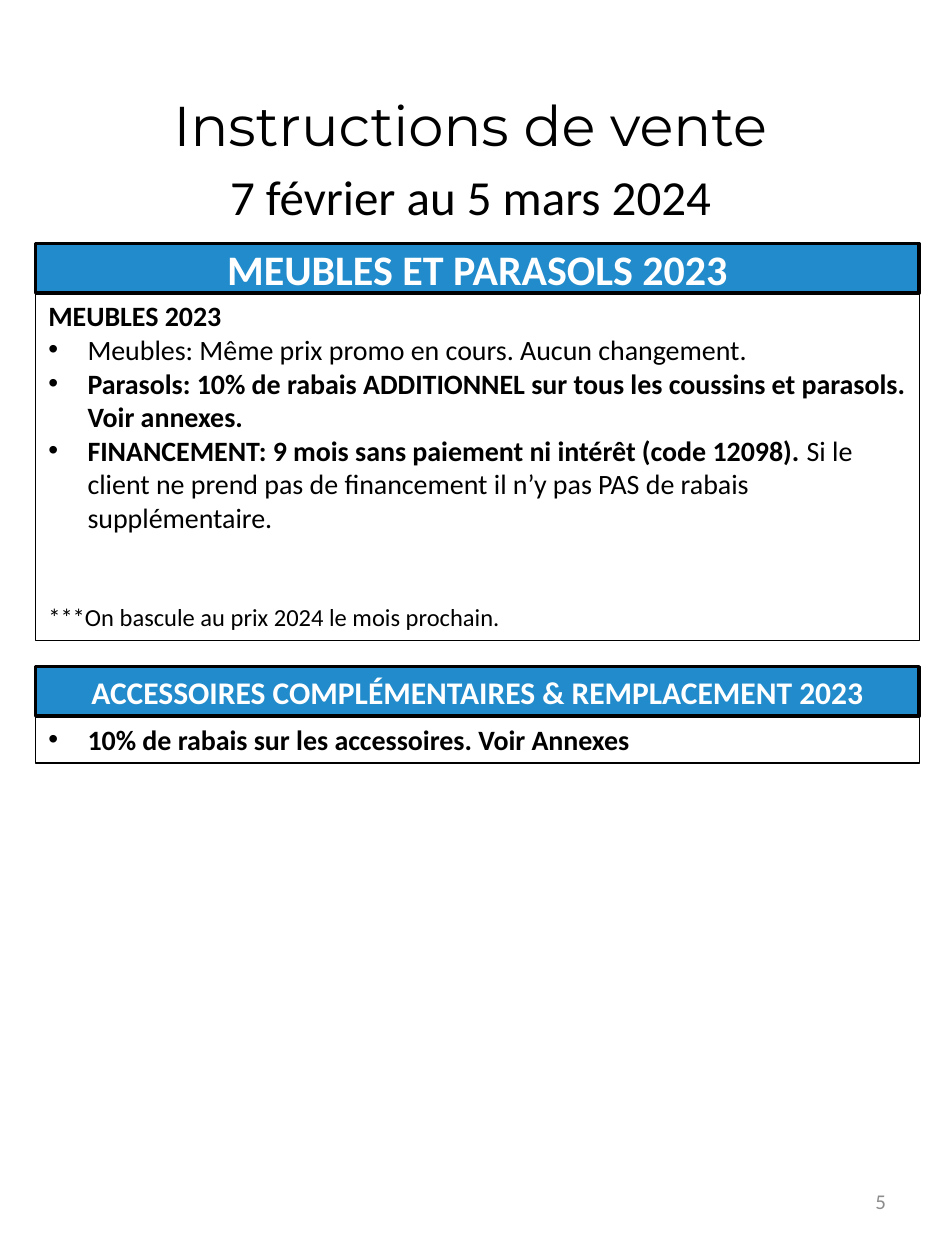
from pptx import Presentation
from pptx.dml.color import RGBColor
from pptx.enum.shapes import MSO_SHAPE
from pptx.enum.text import MSO_ANCHOR as Anchor, MSO_AUTO_SIZE as AutoSize, PP_ALIGN as Align
from pptx.oxml.ns import qn
from pptx.util import Cm, Pt
from lxml import etree


def rgb(value):
    return RGBColor.from_string(value)


def assign(target, values):
    for name, value in values.items():
        setattr(target, name, value)


class Sheet:
    """Hold the style and the current slide, and draw its elements."""

    blue, black, white, grey = "218BCB", "000000", "FFFFFF", "8C8C8C"
    font = "Calibri"
    left, width = 0.72, 17.81
    indent = Cm(0.79)

    def __init__(self, prs):
        self.s = prs.slides.add_slide(prs.slide_layouts[3])

    def place(self, sp, *box):
        assign(sp, dict(zip(("left", "top", "width", "height"), map(Cm, box))))

    def border(self, sp, points):
        sp.line.color.rgb = rgb(self.black)
        sp.line.width = Pt(points)

    def run(self, p, text, size, color=black, bold=False, font=font):
        r = p.add_run()
        r.text = text
        assign(r.font, {"name": font, "size": Pt(size), "bold": bold})
        r.font.color.rgb = rgb(color)

    def title(self, heading, dates):
        sp = self.s.shapes.title
        self.place(sp, 0.91, 1.5, 17.15, 3)
        tf = sp.text_frame
        assign(tf, {"vertical_anchor": Anchor.TOP, "auto_size": AutoSize.NONE})
        p = tf.paragraphs[0]
        assign(p, {"alignment": Align.CENTER, "line_spacing": 1.15, "space_after": Pt(10)})
        self.run(p, heading, 32, font="Montserrat")
        p.add_line_break()
        self.run(p, dates, 28)

    def banner(self, top, text, size):
        sp = self.s.shapes.add_shape(
            MSO_SHAPE.RECTANGLE, Cm(self.left), Cm(top), Cm(self.width), Cm(1))
        sp.shadow.inherit = False
        sp.fill.solid()
        sp.fill.fore_color.rgb = rgb(self.blue)
        self.border(sp, 2)
        tf = sp.text_frame
        assign(tf, {"vertical_anchor": Anchor.MIDDLE, "word_wrap": True})
        p = tf.paragraphs[0]
        p.alignment = Align.CENTER
        self.run(p, text, size, self.white, True)

    def bullet(self, p, shown):
        pPr = p._p.get_or_add_pPr()
        indent = self.indent if shown else 0
        pPr.set("marL", str(indent))
        pPr.set("indent", str(-indent))
        if shown:
            etree.SubElement(pPr, qn("a:buChar")).set("char", "•")
        else:
            etree.SubElement(pPr, qn("a:buNone"))

    def body(self, idx, top, height, items):
        sp = self.s.placeholders[idx]
        self.place(sp, self.left, top, self.width, height)
        self.border(sp, 0.75)
        tf = sp.text_frame
        assign(tf, {"vertical_anchor": Anchor.TOP, "auto_size": AutoSize.NONE})
        for i, (bulleted, size, before, runs) in enumerate(items):
            p = tf.add_paragraph() if i else tf.paragraphs[0]
            self.bullet(p, bulleted)
            p.space_before = Pt(before)
            for text, bold in runs:
                self.run(p, text, size, bold=bold)

    def number(self, text):
        sp = self.s.shapes.add_textbox(Cm(13.66), Cm(23.54), Cm(4.45), Cm(1.35))
        tf = sp.text_frame
        assign(tf, {"vertical_anchor": Anchor.MIDDLE, "word_wrap": True})
        p = tf.paragraphs[0]
        p.alignment = Align.RIGHT
        self.run(p, text, 12, self.grey)


def main():
    prs = Presentation()
    assign(prs, {"slide_width": Cm(19.05), "slide_height": Cm(25.4)})
    sheet = Sheet(prs)
    sheet.title("Instructions de vente", "7 février au 5 mars 2024")
    sheet.body(1, 5.9, 7.01, [
        (False, 16, 0, [("MEUBLES 2023", True)]),
        (True, 16, 0, [("Meubles: Même prix promo en cours. Aucun changement.", False)]),
        (True, 16, 0, [("Parasols: 10% de rabais ADDITIONNEL sur tous les coussins "
                        "et parasols. Voir annexes.", True)]),
        (True, 16, 0, [("FINANCEMENT: 9 mois sans paiement ni intérêt (code 12098). ", True),
                       ("Si le client ne prend pas de financement il n’y pas PAS de "
                        "rabais supplémentaire.", False)]),
        (False, 14, 39, [("***On bascule au prix 2024 le mois prochain.", False)]),
    ])
    sheet.body(2, 14.44, 0.94, [
        (True, 16, 0, [("10% de rabais sur les accessoires. Voir Annexes", True)]),
    ])
    sheet.banner(4.91, "MEUBLES ET PARASOLS 2023", 24)
    sheet.banner(13.44, "ACCESSOIRES COMPLÉMENTAIRES & REMPLACEMENT 2023", 18)
    sheet.number("5")
    prs.save("out.pptx")


if __name__ == "__main__":
    main()
